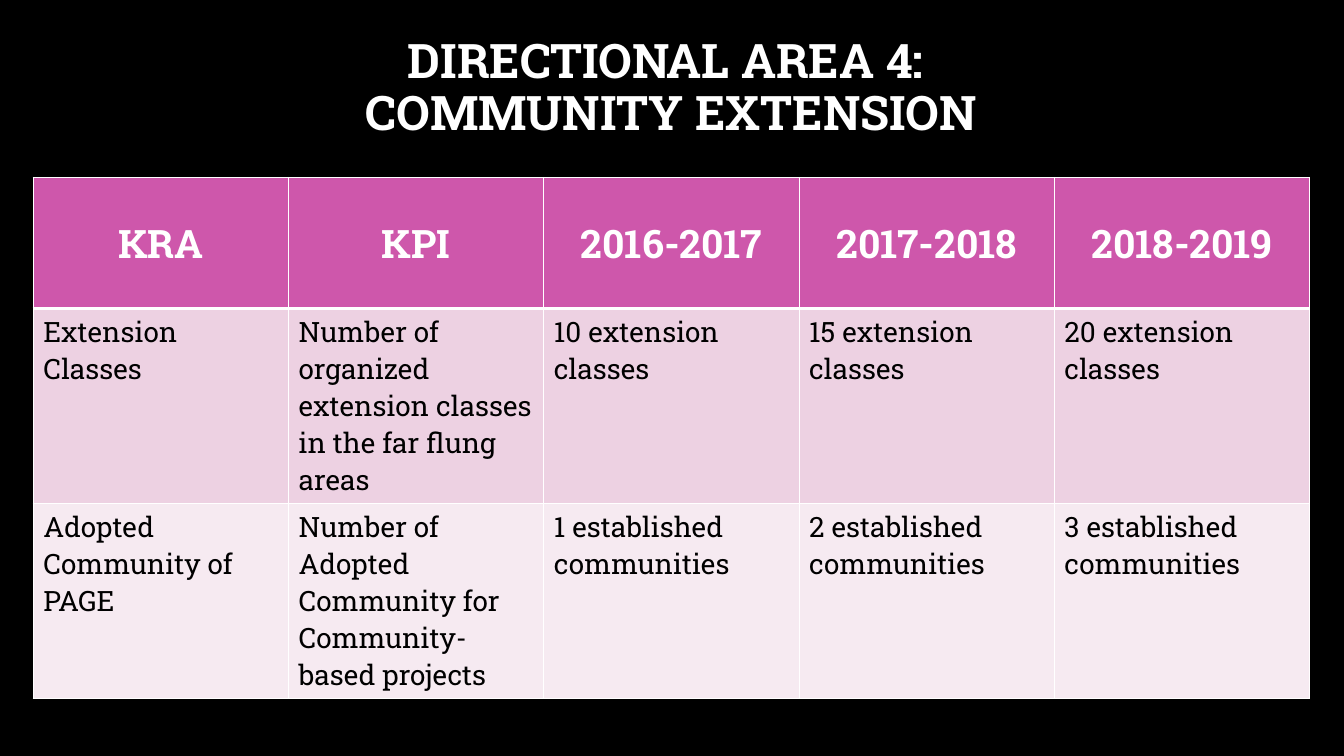
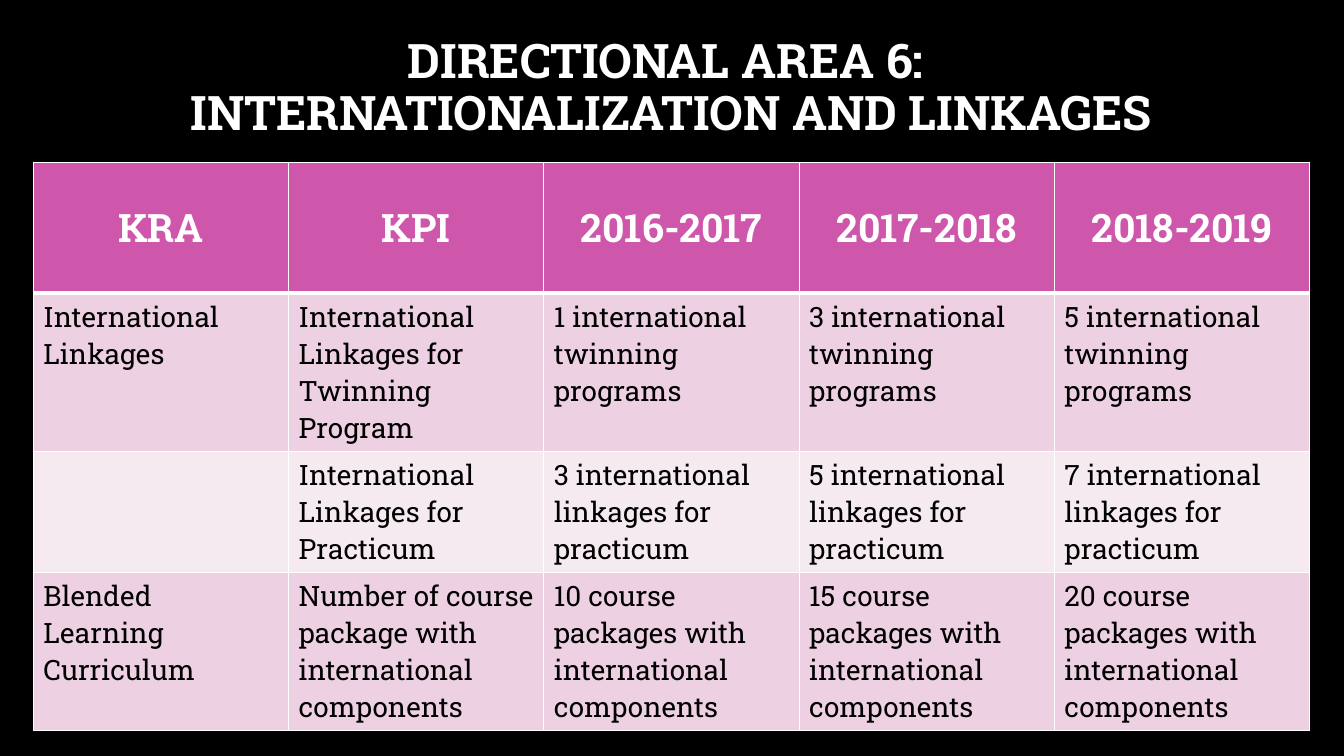
from dataclasses import dataclass
from typing import Any

from lxml.etree import SubElement
from pptx import Presentation
from pptx.dml.color import RGBColor
from pptx.enum.text import MSO_ANCHOR, MSO_AUTO_SIZE, PP_ALIGN
from pptx.oxml.ns import qn
from pptx.slide import Slide
from pptx.table import _Cell
from pptx.text.text import _Paragraph
from pptx.util import Inches, Pt


@dataclass(frozen=True)
class Theme:
    font: str = "Roboto Slab"
    background: str = "000000"
    light: str = "FFFFFF"
    dark: str = "000000"
    header: str = "CE57AB"
    bands: tuple[str, str] = ("EDD1E2", "F6EAF1")
    title_size: int = 34
    header_size: int = 28
    body_size: int = 20
    thin_line: int = 1
    thick_line: int = 3


@dataclass(frozen=True)
class AreaPage:
    number: int
    subject: str
    table_top: float
    table_height: float
    row_heights: tuple[float, ...]
    rows: tuple[tuple[str, ...], ...]


THEME = Theme()
HEADINGS = ("KRA", "KPI", "2016-2017", "2017-2018", "2018-2019")
TABLE_LEFT, TABLE_WIDTH = 0.33, 12.66
TITLE_PLACE = {
    "left": Inches(1),
    "top": Inches(0.16),
    "width": Inches(11.32),
    "height": Inches(1.45),
}
TITLE_FRAME = {
    "word_wrap": True,
    "auto_size": MSO_AUTO_SIZE.NONE,
    "vertical_anchor": MSO_ANCHOR.MIDDLE,
}
TITLE_PARA = {"alignment": PP_ALIGN.CENTER, "line_spacing": 0.9}
TITLE_FONT = {"name": THEME.font, "size": Pt(THEME.title_size), "bold": True}
HEADER_FONT = {"name": THEME.font, "size": Pt(THEME.header_size), "bold": True}
BODY_FONT = {"name": THEME.font, "size": Pt(THEME.body_size), "bold": False}


def yearly(counts: tuple[int, int, int], target: str) -> tuple[str, ...]:
    return tuple(f"{count} {target}" for count in counts)


PAGES = (
    AreaPage(4, "COMMUNITY EXTENSION", 1.76, 4.83, (1.3, 1.26, 1.17), (
        ("Extension Classes ",
         "Number of organized extension classes in the far flung areas",
         *yearly((10, 15, 20), "extension classes")),
        ("Adopted Community of PAGE",
         "Number of Adopted Community for Community-based projects",
         *yearly((1, 2, 3), "established communities")),
    )),
    AreaPage(6, "INTERNATIONALIZATION AND LINKAGES", 1.61, 5.27, (1.3, 0.92, 1.1, 1.18), (
        ("International Linkages ",
         "International Linkages for Twinning Program",
         *yearly((1, 3, 5), "international twinning programs")),
        ("",
         "International Linkages for Practicum",
         *yearly((3, 5, 7), "international linkages for practicum")),
        ("Blended Learning Curriculum",
         "Number of course package with international components",
         *yearly((10, 15, 20), "course packages with international components")),
    )),
)


def apply(target: Any, values: dict[str, Any]) -> None:
    for name, value in values.items():
        setattr(target, name, value)


def format_spans(para: _Paragraph, font: dict[str, Any], color: str) -> None:
    for target in (para, *para.runs):
        apply(target.font, font)
        target.font.color.rgb = RGBColor.from_string(color)


def draw_title(page: Slide, area: AreaPage) -> None:
    title = page.shapes.title
    apply(title, TITLE_PLACE)
    apply(title.text_frame, TITLE_FRAME)
    title.text_frame.text = f"DIRECTIONAL AREA {area.number}: \v{area.subject}"
    para = title.text_frame.paragraphs[0]
    apply(para, TITLE_PARA)
    format_spans(para, TITLE_FONT, THEME.light)


def draw_borders(cell: _Cell, row: int) -> None:
    properties = cell._tc.get_or_add_tcPr()
    thick_edge = {0: "B", 1: "T"}.get(row)
    for edge in "LRTB":
        width = THEME.thick_line if edge == thick_edge else THEME.thin_line
        line = SubElement(properties, qn(f"a:ln{edge}"), w=str(Pt(width)))
        fill = SubElement(line, qn("a:solidFill"))
        SubElement(fill, qn("a:srgbClr"), val=THEME.light)


def draw_cell(cell: _Cell, row: int, text: str) -> None:
    is_header = row == 0
    draw_borders(cell, row)
    fill = THEME.header if is_header else THEME.bands[(row - 1) % 2]
    cell.fill.solid()
    cell.fill.fore_color.rgb = RGBColor.from_string(fill)
    cell.text = text
    para = cell.text_frame.paragraphs[0]
    if is_header:
        cell.vertical_anchor = MSO_ANCHOR.MIDDLE
        para.alignment = PP_ALIGN.CENTER
        format_spans(para, HEADER_FONT, THEME.light)
    else:
        format_spans(para, BODY_FONT, THEME.dark)


def draw_table(page: Slide, area: AreaPage) -> None:
    rows = (HEADINGS, *area.rows)
    frame = page.shapes.add_table(
        len(rows), len(HEADINGS), Inches(TABLE_LEFT), Inches(area.table_top),
        Inches(TABLE_WIDTH), Inches(area.table_height),
    )
    table = frame.table
    for row, (height, texts) in enumerate(zip(area.row_heights, rows)):
        table.rows[row].height = Inches(height)
        for column, text in enumerate(texts):
            draw_cell(table.cell(row, column), row, text)
    frame.height = Inches(area.table_height)


def build_deck() -> None:
    deck = Presentation()
    apply(deck, {"slide_width": Inches(13.33), "slide_height": Inches(7.5)})
    background = deck.slide_master.background.fill
    background.solid()
    background.fore_color.rgb = RGBColor.from_string(THEME.background)
    title_only = deck.slide_layouts.get_by_name("Title Only")
    for area in PAGES:
        page = deck.slides.add_slide(title_only)
        draw_title(page, area)
        draw_table(page, area)
    deck.save("out.pptx")


build_deck()
